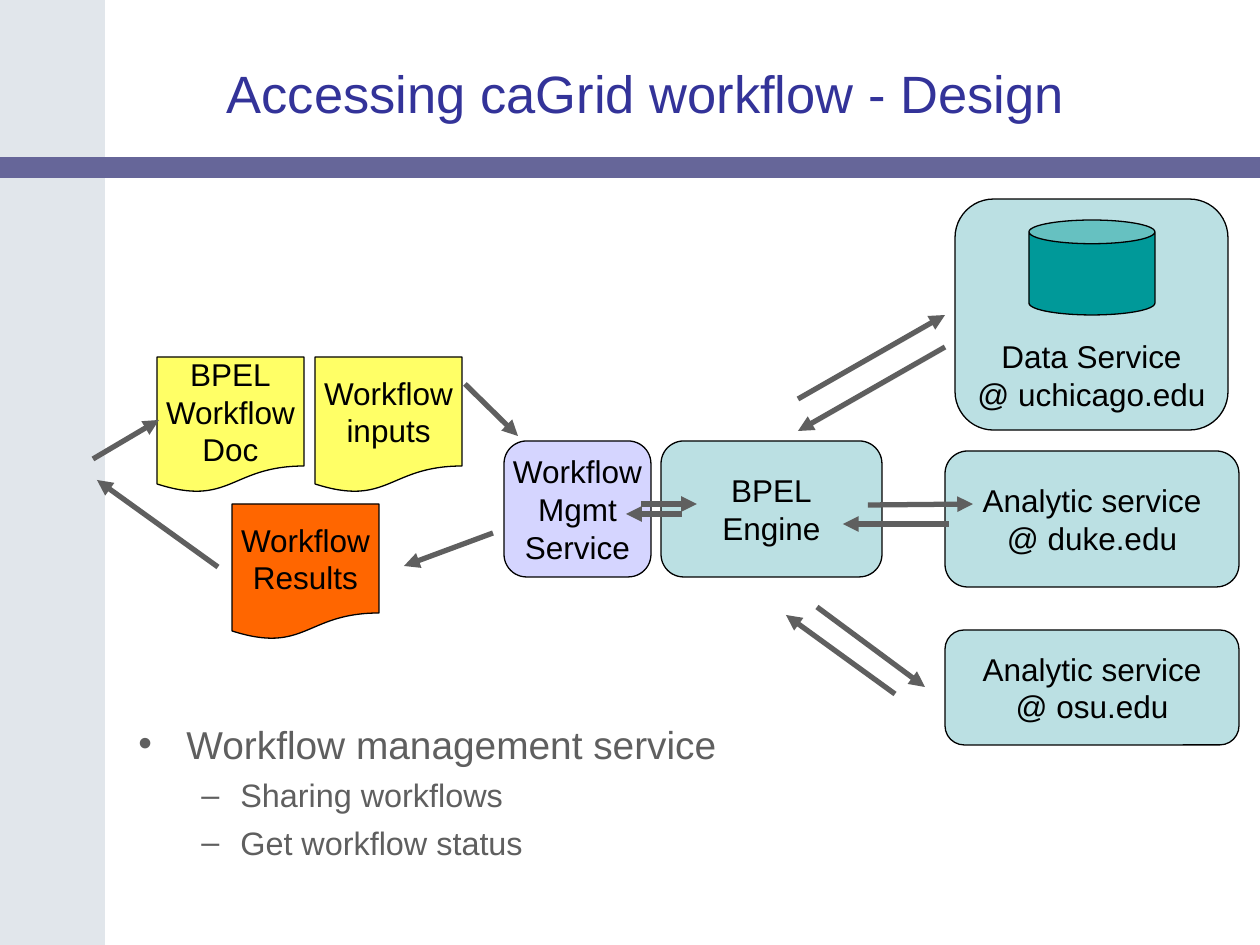
import dataclasses

import lxml.etree
import pptx
import pptx.dml.color
import pptx.enum.shapes
import pptx.enum.text
import pptx.oxml.ns
import pptx.util

SHAPE = pptx.enum.shapes.MSO_SHAPE
ALIGN = pptx.enum.text.PP_ALIGN
ANCHOR = pptx.enum.text.MSO_ANCHOR
PX_PER_INCH = 126


@dataclasses.dataclass(frozen=True)
class Theme:
    font: str = "Arial"
    title: str = "333399"
    text: str = "000000"
    muted: str = "5F5F5F"
    sidebar: str = "E1E6EB"
    rule: str = "666699"
    service: str = "BBE0E3"
    database: str = "009999"
    manager: str = "D5D5FF"
    document: str = "FFFF66"
    result: str = "FF6600"
    title_size: float = 30
    label_size: float = 18
    bullet_size: float = 22.2
    sub_size: float = 18.5
    outline: float = 0.75
    arrow: float = 3


THEME = Theme()


@dataclasses.dataclass(frozen=True)
class Box:
    x: int
    y: int
    w: int
    h: int

    def sub(self, x, y, w, h):
        return Box(self.x + x, self.y + y, w, h)

    def emu(self):
        return [px(n) for n in (self.x, self.y, self.w, self.h)]


def px(n):
    return pptx.util.Emu(round(n * 914400 / PX_PER_INCH))


def rgb(value):
    return pptx.dml.color.RGBColor.from_string(value)


def add_xml(parent, tag, **attrs):
    return lxml.etree.SubElement(parent, pptx.oxml.ns.qn(tag), attrs)


def write(tf, text, size=THEME.label_size, color=THEME.text, align=ALIGN.CENTER,
          bullet=None, margin=0, hanging=0, before=0, append=False):
    for i, line in enumerate(text.split("\n")):
        p = tf.add_paragraph() if append or i else tf.paragraphs[0]
        if bullet:
            pPr = p._p.get_or_add_pPr()
            pPr.set("marL", str(px(margin)))
            pPr.set("indent", str(px(-hanging)))
            add_xml(add_xml(pPr, "a:buClr"), "a:srgbClr", val=color)
            add_xml(pPr, "a:buFont", typeface=THEME.font)
            add_xml(pPr, "a:buChar", char=bullet)
        p.alignment = align
        if before:
            p.space_before = pptx.util.Pt(before)
        r = p.add_run()
        r.text = line
        r.font.name = THEME.font
        r.font.size = pptx.util.Pt(size)
        r.font.color.rgb = rgb(color)


def add_shape(s, kind, box, fill, text="", outlined=True, anchor=ANCHOR.MIDDLE):
    sp = s.shapes.add_shape(kind, *box.emu())
    sp.shadow.inherit = False
    sp.fill.solid()
    sp.fill.fore_color.rgb = rgb(fill)
    if outlined:
        sp.line.color.rgb = rgb(THEME.text)
        sp.line.width = pptx.util.Pt(THEME.outline)
    else:
        sp.line.fill.background()
    if text:
        sp.text_frame.word_wrap = False
        sp.text_frame.vertical_anchor = anchor
        write(sp.text_frame, text)
    return sp


def add_arrows(s, box, arrows):
    for x1, y1, x2, y2 in arrows:
        sp = s.shapes.add_connector(
            pptx.enum.shapes.MSO_CONNECTOR.STRAIGHT,
            px(box.x + x1), px(box.y + y1), px(box.x + x2), px(box.y + y2))
        sp.line.color.rgb = rgb(THEME.muted)
        sp.line.width = pptx.util.Pt(THEME.arrow)
        add_xml(sp.line._get_or_add_ln(), "a:tailEnd", type="triangle")
        add_xml(sp._element.spPr, "a:effectLst")


def draw_frame(s, box):
    add_shape(s, SHAPE.RECTANGLE, box.sub(0, 0, 105, box.h), THEME.sidebar, outlined=False)
    add_shape(s, SHAPE.RECTANGLE, box.sub(0, 157, box.w, 21), THEME.rule, outlined=False)


def draw_title(s, box):
    sp = s.shapes.title
    sp.left, sp.top, sp.width, sp.height = box.emu()
    tf = sp.text_frame
    tf.auto_size = pptx.enum.text.MSO_AUTO_SIZE.NONE
    tf.vertical_anchor = ANCHOR.MIDDLE
    write(tf, "Accessing caGrid workflow - Design", size=THEME.title_size, color=THEME.title)


def draw_services(s, box):
    add_shape(s, SHAPE.ROUNDED_RECTANGLE, box.sub(10, 0, 273, 231), THEME.service,
              "Data Service\n@ uchicago.edu", anchor=ANCHOR.BOTTOM)
    add_shape(s, SHAPE.CAN, box.sub(84, 21, 126, 95), THEME.database)
    for y, h, host in ((252, 136, "duke.edu"), (431, 115, "osu.edu")):
        add_shape(s, SHAPE.ROUNDED_RECTANGLE, box.sub(0, y, box.w, h), THEME.service,
                  f"Analytic service\n@ {host}")


def draw_documents(s, box):
    for x, y, fill, text in (
        (64, 0, THEME.document, "BPEL\nWorkflow\nDoc"),
        (222, 0, THEME.document, "Workflow\ninputs"),
        (139, 147, THEME.result, "Workflow\nResults"),
    ):
        add_shape(s, SHAPE.FLOWCHART_DOCUMENT, box.sub(x, y, 147, 136), fill, text)
    add_arrows(s, box, ((0, 102, 66, 63), (125, 210, 4, 123),
                        (372, 27, 425, 79), (400, 176, 311, 209)))


def draw_engine(s, box):
    add_shape(s, SHAPE.ROUNDED_RECTANGLE, box.sub(0, 0, 147, box.h), THEME.manager,
              "Workflow\nMgmt\nService")
    add_shape(s, SHAPE.ROUNDED_RECTANGLE, box.sub(157, 0, 221, box.h), THEME.service,
              "BPEL\nEngine")
    add_arrows(s, box, ((137, 63, 193, 63), (178, 73, 122, 73)))


def draw_service_links(s, box):
    add_arrows(s, box, ((12, 84, 159, 0), (159, 32, 12, 116),
                        (82, 190, 187, 189), (163, 209, 57, 209),
                        (31, 292, 139, 372), (109, 379, 0, 300)))


def draw_bullets(s, box):
    tf = s.shapes.add_textbox(*box.emu()).text_frame
    tf.word_wrap = True
    write(tf, "Workflow management service", size=THEME.bullet_size, color=THEME.muted,
          align=ALIGN.LEFT, bullet="•", margin=48, hanging=48)
    write(tf, "Sharing workflows\nGet workflow status", size=THEME.sub_size,
          color=THEME.muted, align=ALIGN.LEFT, bullet="–", margin=102, hanging=39,
          before=5, append=True)
    for p in tf.paragraphs[1:]:
        p.level = 1


def main():
    prs = pptx.Presentation()
    prs.slide_width, prs.slide_height = px(1260), px(945)
    s = prs.slides.add_slide(prs.slide_layouts[5])
    draw_frame(s, Box(0, 0, 1260, 945))
    draw_title(s, Box(94, 38, 1103, 110))
    draw_services(s, Box(945, 199, 294, 546))
    draw_documents(s, Box(93, 357, 425, 283))
    draw_engine(s, Box(504, 441, 378, 136))
    draw_service_links(s, Box(786, 315, 187, 379))
    draw_bullets(s, Box(126, 714, 672, 158))
    prs.save("out.pptx")


if __name__ == "__main__":
    main()
